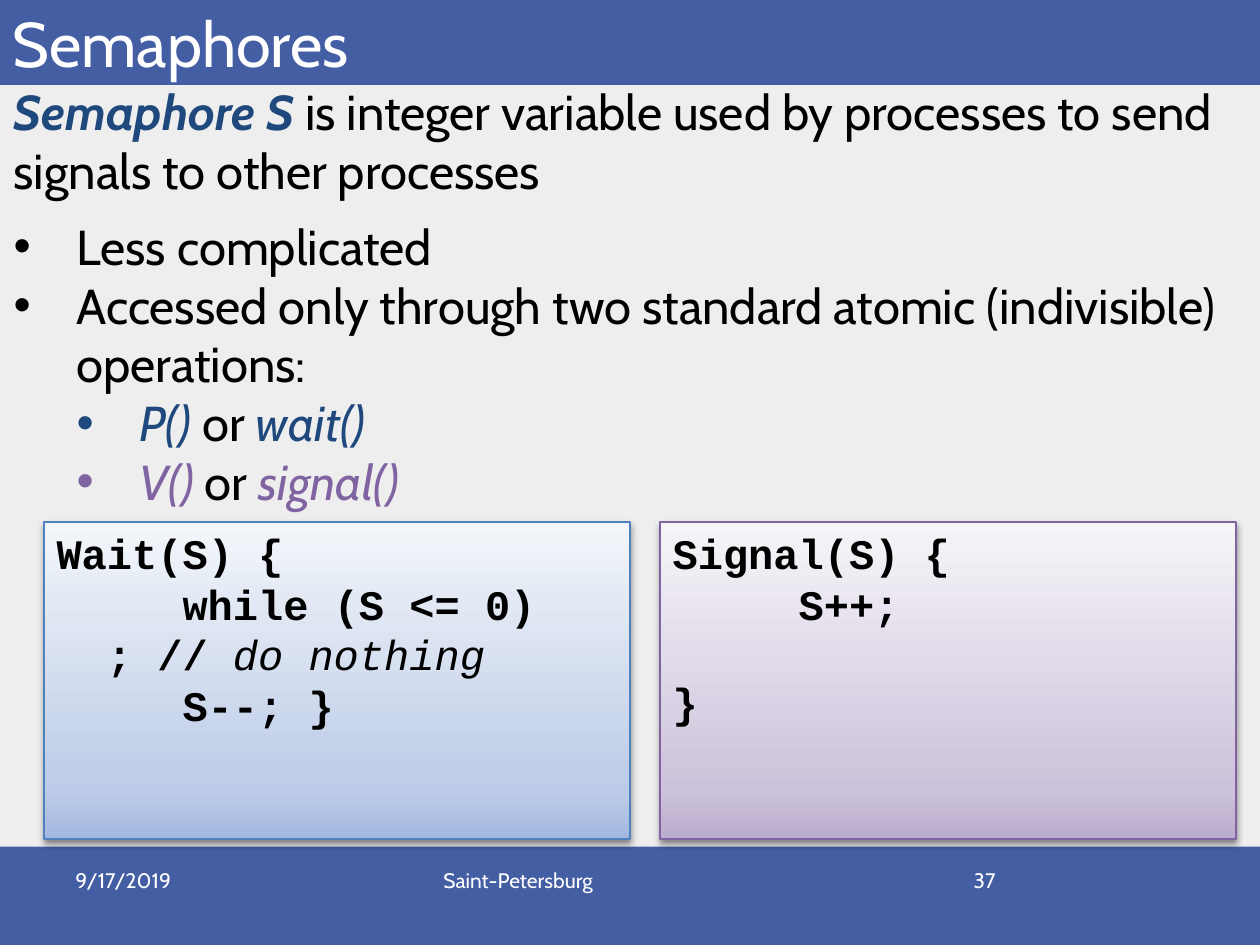
from dataclasses import dataclass

from lxml.etree import SubElement
from pptx import Presentation
from pptx.dml.color import RGBColor
from pptx.enum.shapes import MSO_SHAPE
from pptx.enum.text import MSO_ANCHOR, PP_ALIGN
from pptx.oxml import parse_xml
from pptx.oxml.ns import nsdecls, qn
from pptx.util import Inches, Pt

WIDTH, HEIGHT = 10, 7.5


@dataclass(frozen=True)
class Theme:
    page: str = "EEEEEE"
    band: str = "445EA4"
    light: str = "FFFFFF"
    ink: str = "000000"
    blue: str = "1F497D"
    purple: str = "8064A2"
    blue_line: str = "4F81BD"
    blue_stops: tuple = ((0, "A3B8DF"), (15, "BCCBE7"), (100, "F3F6FA"))
    purple_stops: tuple = ((0, "B9ACCD"), (15, "CCC2DB"), (100, "F6F4F8"))
    text_font: str = "Cabin"
    code_font: str = "Courier New"
    title_size: int = 36
    body_size: int = 28
    code_size: int = 24
    footer_size: int = 12


THEME = Theme()


def place(left, top, width, height):
    """Turn shares of the slide's size into lengths."""
    return (Inches(left * WIDTH), Inches(top * HEIGHT),
            Inches(width * WIDTH), Inches(height * HEIGHT))


def set_frame(frame, anchor=MSO_ANCHOR.TOP):
    frame.word_wrap = True
    frame.vertical_anchor = anchor
    return frame


def write_paragraph(frame, spans, style, indent=None, bullet=False, **spacing):
    """Write (text, changes) spans; a None span is a line break."""
    para = frame.paragraphs[0]
    if para.runs:
        para = frame.add_paragraph()
    for name, value in {"alignment": PP_ALIGN.LEFT, **spacing}.items():
        setattr(para, name, value)
    for span in spans:
        if span is None:
            para.add_line_break()
            continue
        text, changes = span
        run = para.add_run()
        run.text = text
        look = {**style, **changes}
        run.font.color.rgb = RGBColor.from_string(look.pop("color"))
        for name, value in look.items():
            setattr(run.font, name, value)
    properties = para._p.get_or_add_pPr()
    if indent:
        for name, value in zip(("marL", "indent"), indent):
            properties.set(name, str(Inches(value)))
    if bullet:
        SubElement(properties, qn("a:buFont"), typeface="Arial")
        SubElement(properties, qn("a:buChar"), char="•")
    return para


def add_band(page, top, height):
    band = page.shapes.add_shape(MSO_SHAPE.RECTANGLE, *place(0, top, 1, height))
    band.shadow.inherit = False
    band.fill.solid()
    band.fill.fore_color.rgb = RGBColor.from_string(THEME.band)
    band.line.fill.background()


def add_title(page, text):
    title = page.shapes.title
    title.element.getparent().append(title.element)  # in front of the bands
    title.left, title.top, title.width, title.height = place(0, -0.028, 1, 0.119)
    frame = set_frame(title.text_frame, MSO_ANCHOR.BOTTOM)
    write_paragraph(frame, [(text, {})], {
        "name": THEME.text_font, "size": Pt(THEME.title_size), "color": THEME.light})


def add_footer(page, text, left, width, alignment=PP_ALIGN.LEFT):
    box = page.shapes.add_textbox(*place(left, 0.911, width, 0.07))
    style = {"name": THEME.text_font, "size": Pt(THEME.footer_size),
             "color": THEME.light}
    write_paragraph(set_frame(box.text_frame), [(text, {})], style,
                    alignment=alignment)


def add_body(page):
    box = page.shapes.add_textbox(*place(0.001, 0.08, 0.999, 0.47))
    frame = set_frame(box.text_frame)
    style = {"name": THEME.text_font, "size": Pt(THEME.body_size),
             "color": THEME.ink}
    term = {"color": THEME.blue, "bold": True, "italic": True}
    write_paragraph(frame, [
        ("Semaphore S", term),
        (" is integer variable used by processes to send signals"
         " to other processes", {})], style, space_after=Pt(9.6))
    for text in ("Less complicated",
                 "Accessed only through two standard atomic (indivisible) operations:"):
        write_paragraph(frame, [(text, {})], style, (0.5, -0.5), True)
    for short, long, color in (("P()", "wait()", THEME.blue),
                               ("V()", "signal()", THEME.purple)):
        name = {"color": color, "italic": True}
        write_paragraph(frame, [(short, name), (" or ", {}), (long, name)],
                        style, (1, -0.5), True, level=1)


def add_code_panel(page, left, width, stops, line_color, lines):
    panel = page.shapes.add_shape(MSO_SHAPE.RECTANGLE,
                                  *place(left, 0.552, width, 0.336))
    panel.line.color.rgb = RGBColor.from_string(line_color)
    panel.line.width = Pt(1)
    # Gradient from bottom to top, and a soft shadow below
    marks = "".join(f'<a:gs pos="{share * 1000}"><a:srgbClr val="{color}"/></a:gs>'
                    for share, color in stops)
    properties = panel.element.spPr
    properties.find(qn("a:prstGeom")).addnext(parse_xml(
        f'<a:gradFill {nsdecls("a")} rotWithShape="1"><a:gsLst>{marks}</a:gsLst>'
        '<a:lin ang="16200000" scaled="0"/></a:gradFill>'))
    properties.append(parse_xml(
        f'<a:effectLst {nsdecls("a")}><a:outerShdw blurRad="{Pt(4)}" '
        f'dist="{Pt(2)}" dir="5400000" rotWithShape="0"><a:srgbClr '
        f'val="{THEME.ink}"><a:alpha val="43000"/></a:srgbClr>'
        '</a:outerShdw></a:effectLst>'))
    style = {"name": THEME.code_font, "size": Pt(THEME.code_size),
             "color": THEME.ink, "bold": True}
    frame = set_frame(panel.text_frame)
    for spans, indent, spacing in lines:
        write_paragraph(frame, spans, style, indent, **spacing)


def main():
    deck = Presentation()
    deck.slide_width, deck.slide_height = Inches(WIDTH), Inches(HEIGHT)
    page = deck.slides.add_slide(deck.slide_layouts[5])
    page.background.fill.solid()
    page.background.fill.fore_color.rgb = RGBColor.from_string(THEME.page)

    # Bands, title and footer
    add_band(page, 0.896, 0.104)
    add_band(page, 0, 0.09)
    add_title(page, "Semaphores")
    add_footer(page, "9/17/2019", 0.05, 0.233)
    add_footer(page, "37", 0.717, 0.083, PP_ALIGN.RIGHT)
    add_footer(page, "Saint-Petersburg", 0.342, 0.317)

    # Explanation and the two operations
    add_body(page)
    inner = (1, 0)
    add_code_panel(page, 0.035, 0.465, THEME.blue_stops, THEME.blue_line, [
        ([("Wait(S) {", {})], None, {}),
        ([("while (S <= 0)", {}), None, ("; // ", {}),
          ("do nothing", {"bold": False, "italic": True})], (0.4, 0.6), {}),
        ([("S--; }", {})], inner, {})])
    add_code_panel(page, 0.524, 0.457, THEME.purple_stops, THEME.purple, [
        ([("Signal(S) {", {})], None, {}),
        ([("S++;", {})], inner, {"space_after": Pt(27.2)}),
        ([("}", {})], None, {})])
    deck.save("out.pptx")


if __name__ == "__main__":
    main()
